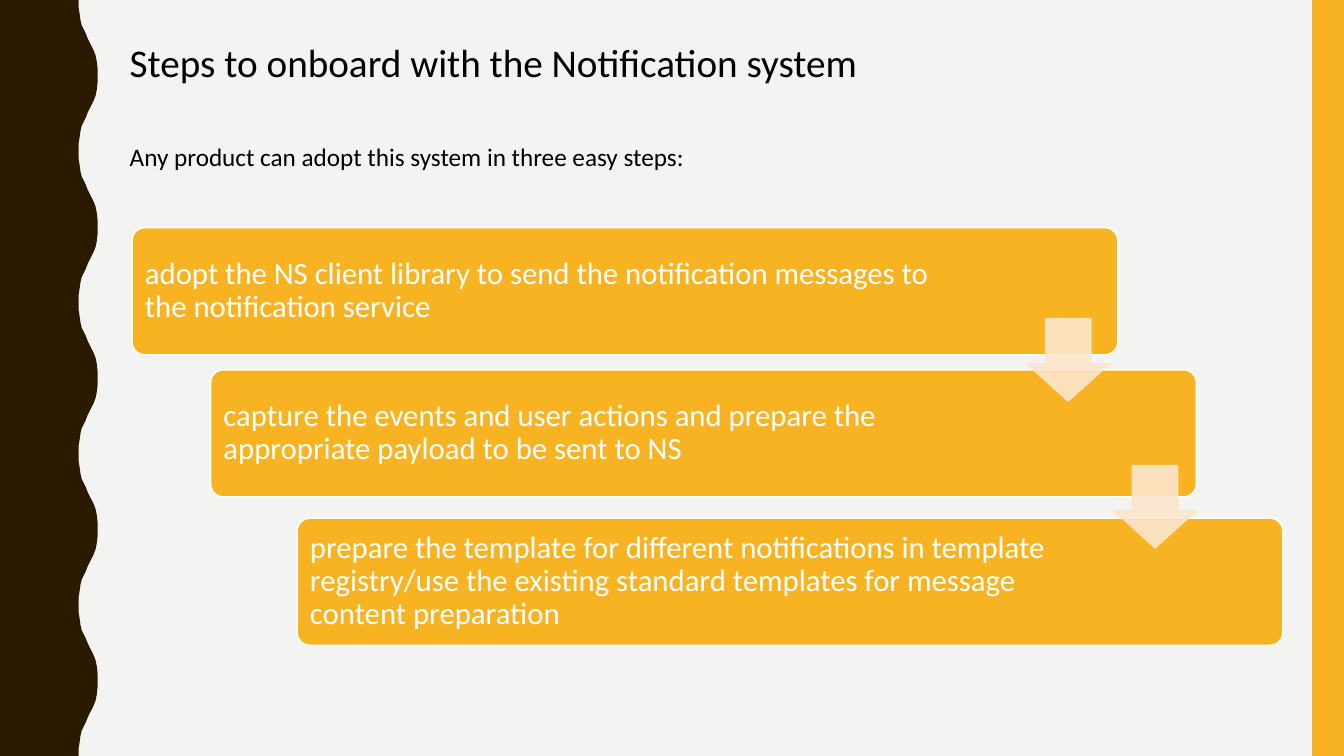
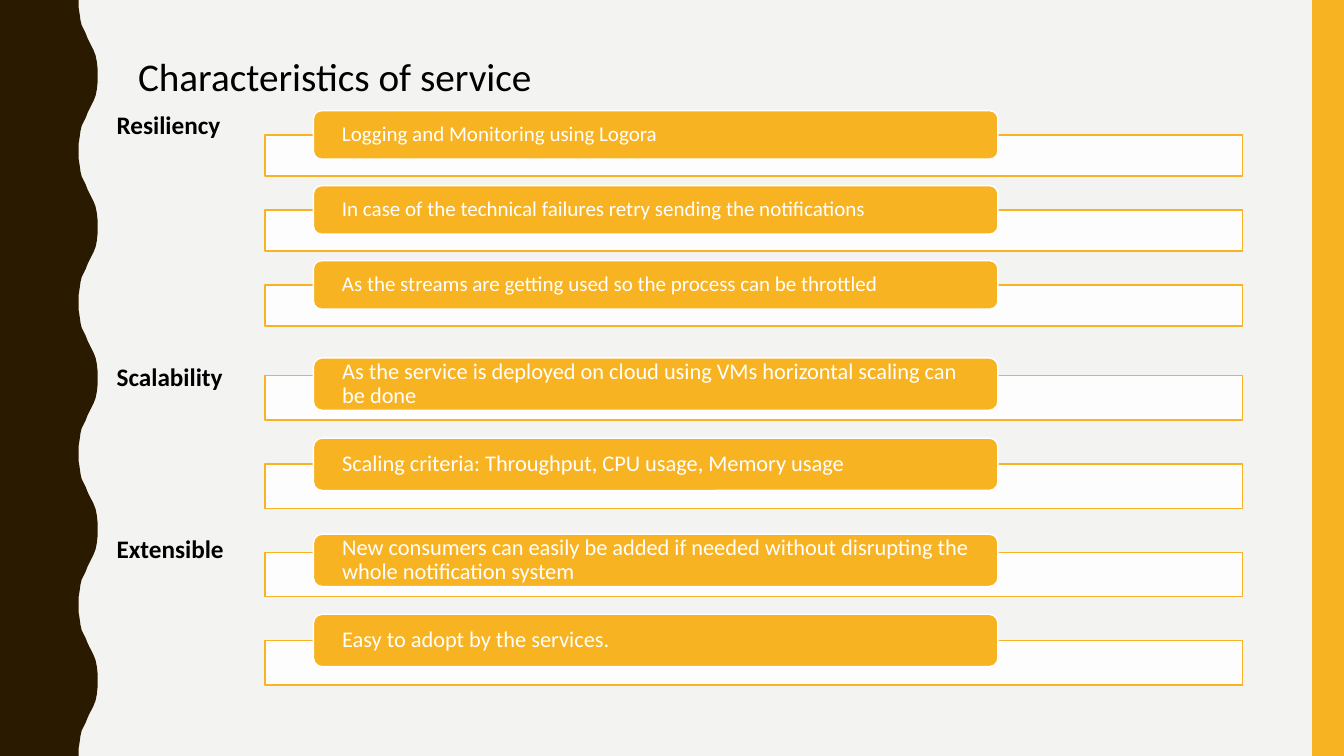
"""Build two slides on a notification system: onboarding steps and service traits."""
from dataclasses import dataclass

from lxml.etree import SubElement
from pptx import Presentation
from pptx.dml.color import RGBColor
from pptx.enum.shapes import MSO_SHAPE as Kind
from pptx.enum.text import MSO_ANCHOR as Anchor, MSO_AUTO_SIZE as Fit, PP_ALIGN as Align
from pptx.oxml.ns import qn
from pptx.util import Cm, Pt

BROWN = RGBColor(0x2A, 0x1A, 0x00)
GOLD = RGBColor(0xF8, 0xB3, 0x23)
PEACH = RGBColor(0xFC, 0xE5, 0xCD)
PAPER = RGBColor(0xF3, 0xF3, 0xF2)
WHITE = RGBColor(0xFF, 0xFF, 0xFF)
BLACK = RGBColor(0x00, 0x00, 0x00)
FONT = "Calibri"
WIDE, HIGH = 33.87, 19.05
WAVE = 3.81
HALF = [
    (1.98, 0), (1.98, 0.18), (2.01, 0.36), (2.03, 0.51), (2.06, 0.64),
    (2.11, 0.74), (2.16, 0.84), (2.21, 0.97), (2.26, 1.07), (2.31, 1.17),
    (2.36, 1.27), (2.41, 1.4), (2.44, 1.55), (2.46, 1.73), (2.46, 1.9),
]


@dataclass(frozen=True)
class Box:
    left: float
    top: float
    width: float
    height: float

    def size(self) -> tuple:
        return Cm(self.left), Cm(self.top), Cm(self.width), Cm(self.height)


@dataclass(frozen=True)
class Step:
    left: float
    top: float
    inset: float
    text: str


@dataclass(frozen=True)
class Stack:
    top: float
    gap: float
    height: float

    def row(self, index: int, left: float, width: float) -> Box:
        return Box(left, self.top + index * self.gap, width, self.height)


@dataclass(frozen=True)
class Trait:
    name: str
    top: float
    bars: Stack
    pills: Stack
    size: int
    lines: tuple[str, ...]


STEPS = [
    Step(3.33, 5.74, 3.5,
         "adopt the NS client library to send the notification messages to the notification service"),
    Step(5.31, 9.32, 4.5,
         "capture the events and user actions and prepare the appropriate payload to be sent to NS"),
    Step(7.49, 13.06, 4.5,
         "prepare the template for different notifications in template registry/use the existing "
         "standard templates for message content preparation"),
]
ARROWS = [Box(25.88, 8.03, 2.08, 2.08), Box(28.07, 11.73, 2.08, 2.08)]
TRAITS = [
    Trait("Resiliency", 2.64, Stack(3.4, 1.89, 1.04), Stack(2.79, 1.89, 1.22), 15, (
        "Logging and Monitoring using Logora",
        "In case of the technical failures retry sending the notifications",
        "As the streams are getting used so the process can be throttled")),
    Trait("Scalability", 8.99, Stack(9.47, 2.22, 1.12), Stack(9.02, 2.02, 1.32), 16, (
        "As the service is deployed on cloud using VMs horizontal scaling can be done",
        "Scaling criteria: Throughput, CPU usage, Memory usage")),
    Trait("Extensible", 13.31, Stack(13.92, 2.22, 1.12), Stack(13.46, 2.02, 1.32), 16, (
        "New consumers can easily be added if needed without disrupting the whole notification system",
        "Easy to adopt by the services.")),
]


def paint(shape, fill: RGBColor, line: RGBColor | None = None):
    shape.shadow.inherit = False
    shape.fill.solid()
    shape.fill.fore_color.rgb = fill
    if line is None:
        shape.line.fill.background()
    else:
        shape.line.color.rgb = line
        shape.line.width = Pt(1)
    return shape


def block(slide, kind, box: Box, fill: RGBColor, line: RGBColor | None = None):
    return paint(slide.shapes.add_shape(kind, *box.size()), fill, line)


def fade(node) -> None:
    for tint in node.iter(qn("a:srgbClr")):
        SubElement(tint, qn("a:alpha")).set("val", "90000")


def style(para, text: str, size: int, tint: RGBColor, bold: bool = False) -> None:
    para.text = text
    para.alignment = Align.LEFT
    para.font.name = FONT
    para.font.size = Pt(size)
    para.font.bold = bold
    para.font.color.rgb = tint


def label(slide, box: Box, text: str, size: int = 18, bold: bool = False) -> None:
    frame = slide.shapes.add_textbox(*box.size()).text_frame
    frame.word_wrap = False
    frame.auto_size = Fit.SHAPE_TO_FIT_TEXT
    style(frame.paragraphs[0], text, size, BLACK, bold)


def card(slide, box: Box, text: str, size: int, pads: tuple[float, float, float]):
    shape = block(slide, Kind.ROUNDED_RECTANGLE, box, GOLD, WHITE)
    frame = shape.text_frame
    frame.word_wrap = True
    frame.vertical_anchor = Anchor.MIDDLE
    left, right, edge = pads
    frame.margin_left, frame.margin_right = Cm(left), Cm(right)
    frame.margin_top = frame.margin_bottom = Cm(edge)
    para = frame.paragraphs[0]
    style(para, text, size, WHITE)
    para.line_spacing = 0.9
    return shape


def frame_bands(slide, layout) -> None:
    for item in list(layout.placeholders):
        item.element.getparent().remove(item.element)
    points = []
    for turn in range(5):
        start = turn * WAVE
        points += [(x, start + y) for x, y in HALF]
        points += [(x, start + WAVE - y) for x, y in reversed(HALF)]
    points.append((0, HIGH))
    path = slide.shapes.build_freeform(0, 0)
    path.add_line_segments([(Cm(x), Cm(y)) for x, y in points])
    wave = paint(path.convert_to_shape(), BROWN)
    strip = block(slide, Kind.RECTANGLE, Box(33.07, 0, 0.8, HIGH), GOLD)
    for shape in (wave, strip):
        layout.shapes.element.append(shape.element)


def draw_steps(slide) -> None:
    label(slide, Box(3.02, 0.84, 19.08, 1.45), "Steps to onboard with the Notification system", 28)
    for step in STEPS:
        box = Box(step.left, step.top, 24.84, 3.2)
        card(slide, box, step.text, 22, (0.23, step.inset, 0.23)).adjustments[0] = 0.1
    for box in ARROWS:
        arrow = block(slide, Kind.DOWN_ARROW, box, PEACH, PEACH)
        arrow.adjustments[0] = 0.45
        arrow.adjustments[0], arrow.adjustments[1] = 0.55, 0.45
        fade(arrow.element.spPr)
    label(slide, Box(3.02, 3.43, 14.71, 1.02), "Any product can adopt this system in three easy steps:")


def draw_traits(slide) -> None:
    label(slide, Box(3.23, 1.19, 10.77, 1.45), "Characteristics of service", 28)
    for trait in TRAITS:
        label(slide, Box(2.69, trait.top, 3.55, 1.02), trait.name, bold=True)
        for index, text in enumerate(trait.lines):
            bar = block(slide, Kind.RECTANGLE, trait.bars.row(index, 6.68, 24.64), WHITE, GOLD)
            fade(bar.element.spPr.find(qn("a:solidFill")))
            card(slide, trait.pills.row(index, 7.9, 17.25), text, trait.size, (0.66, 0.66, 0))


def main() -> None:
    deck = Presentation()
    deck.slide_width, deck.slide_height = Cm(WIDE), Cm(HIGH)
    back = deck.slide_master.background.fill
    back.solid()
    back.fore_color.rgb = PAPER
    layout = deck.slide_layouts[6]
    first = deck.slides.add_slide(layout)
    frame_bands(first, layout)
    draw_steps(first)
    draw_traits(deck.slides.add_slide(layout))
    deck.save("out.pptx")


if __name__ == "__main__":
    main()
